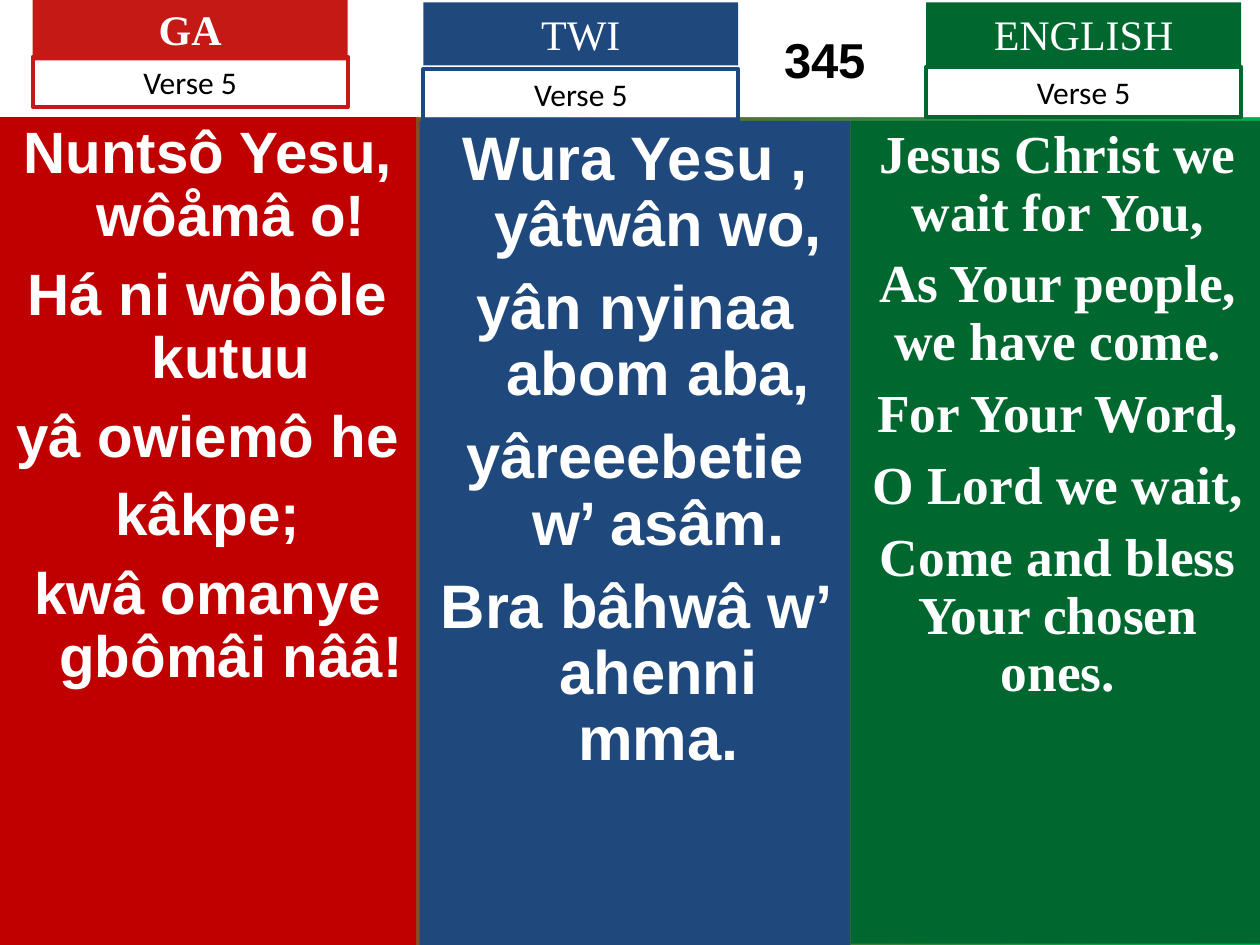
from lxml import etree
from pptx import Presentation
from pptx.dml.color import RGBColor
from pptx.enum.text import MSO_ANCHOR as Anchor, MSO_AUTO_SIZE as Fit, PP_ALIGN as Align
from pptx.oxml.ns import qn
from pptx.util import Inches, Pt

WHITE = RGBColor(0xFF, 0xFF, 0xFF)
BLACK = RGBColor(0, 0, 0)
RED = RGBColor(0xC5, 0x19, 0x15)
DARK_RED = RGBColor(0xC0, 0, 0)
BLUE = RGBColor(0x1F, 0x49, 0x7D)
GREEN = RGBColor(0, 0x68, 0x2F)
LIME = RGBColor(0, 0xB0, 0x50)
SANS, SERIF, PLAIN = "Arial", "Times New Roman", "Calibri"
TAG_WIDTH = 2.5

GA = ["Nuntsô Yesu, wôåmâ o!", "Há ni wôbôle kutuu", "yâ owiemô he",
      "kâkpe;", "kwâ omanye gbômâi nââ!"]
TWI = ["Wura Yesu , yâtwân wo,", "yân nyinaa abom aba,",
       "yâreeebetie w’ asâm.", "Bra bâhwâ w’ ahenni mma."]
ENGLISH = ["Jesus Christ we wait for You,", "As Your people, we have come.",
           "For Your Word,", "O Lord we wait,", "Come and bless Your chosen ones."]


def place(shape, box):
    shape.left, shape.top, shape.width, shape.height = map(Inches, box)


def paint(shape, color):
    shape.fill.solid()
    shape.fill.fore_color.rgb = color


def write(para, text, size, face, color, bold=False):
    para.alignment = Align.CENTER
    run = para.add_run()
    run.text = text
    font = run.font
    font.size, font.name, font.bold = Pt(size), face, bold
    font.color.rgb = color


def add_title(shape, box, text):
    place(shape, box)
    paint(shape, WHITE)
    frame = shape.text_frame
    frame.auto_size = Fit.NONE
    frame.vertical_anchor = Anchor.MIDDLE
    frame.margin_left = Inches(3.2)
    write(frame.paragraphs[0], text, 28, SANS, BLACK, True)


def add_verse(shape, box, color, lines, size, face, gap, hang):
    place(shape, box)
    paint(shape, color)
    frame = shape.text_frame
    frame.word_wrap = True
    frame.auto_size = Fit.NONE
    frame.vertical_anchor = Anchor.TOP
    for i, line in enumerate(lines):
        para = frame.add_paragraph() if i else frame.paragraphs[0]
        props = para._p.get_or_add_pPr()
        props.set("marL", str(Inches(hang)))
        props.set("indent", str(-Inches(hang)))
        etree.SubElement(props, qn("a:buNone"))
        para.line_spacing = 0.9
        para.space_before = Pt(gap if i else 0)
        write(para, line, size, face, WHITE, True)


def add_tag(slide, box, text, size, face, color, bold=False):
    shape = slide.shapes.add_textbox(*map(Inches, box))
    frame = shape.text_frame
    frame.word_wrap = True
    frame.auto_size = Fit.SHAPE_TO_FIT_TEXT
    write(frame.paragraphs[0], text, size, face, color, bold)
    return shape


def add_head(slide, left, top, drop, name, color, bold):
    tag = add_tag(slide, (left, top, TAG_WIDTH, 0.5), name, 24, SERIF, WHITE, bold)
    paint(tag, color)
    label = add_tag(slide, (left, drop, TAG_WIDTH, 0.4), "Verse 5", 18, PLAIN, BLACK)
    label.line.color.rgb = color
    label.line.width = Pt(2.25)


def set_back(slide):
    fill = slide.background.fill
    fill.gradient()
    fill.gradient_angle = 0
    for stop, color, spot in zip(fill.gradient_stops, (RED, LIME), (0, 1)):
        stop.color.rgb = color
        stop.position = spot


def main():
    deck = Presentation()
    deck.slide_width, deck.slide_height = Inches(10), Inches(7.5)
    slide = deck.slides.add_slide(deck.slide_layouts[4])
    set_back(slide)
    title, *bodies, spare = slide.placeholders
    spare.element.getparent().remove(spare.element)
    add_title(title, (0, 0, 10, 0.93), "345")

    verses = [
        ((0, 0.93, 3.3, 6.57), DARK_RED, GA, 33.3, SANS, 9, 0.37),
        ((3.33, 0.96, 3.42, 6.54), BLUE, TWI, 35.1, SANS, 9.5, 0.37),
        ((6.75, 0.96, 3.29, 6.53), GREEN, ENGLISH, 30.5, SERIF, 8.2, 0),
    ]
    for body, verse in zip(bodies, verses):
        add_verse(body, *verse)

    heads = [
        (0.26, -0.02, 0.45, "GA", RED, True),
        (3.36, 0.02, 0.55, "TWI", BLUE, False),
        (7.35, 0.02, 0.53, "ENGLISH", GREEN, False),
    ]
    for head in heads:
        add_head(slide, *head)
    deck.save("out.pptx")


if __name__ == "__main__":
    main()
